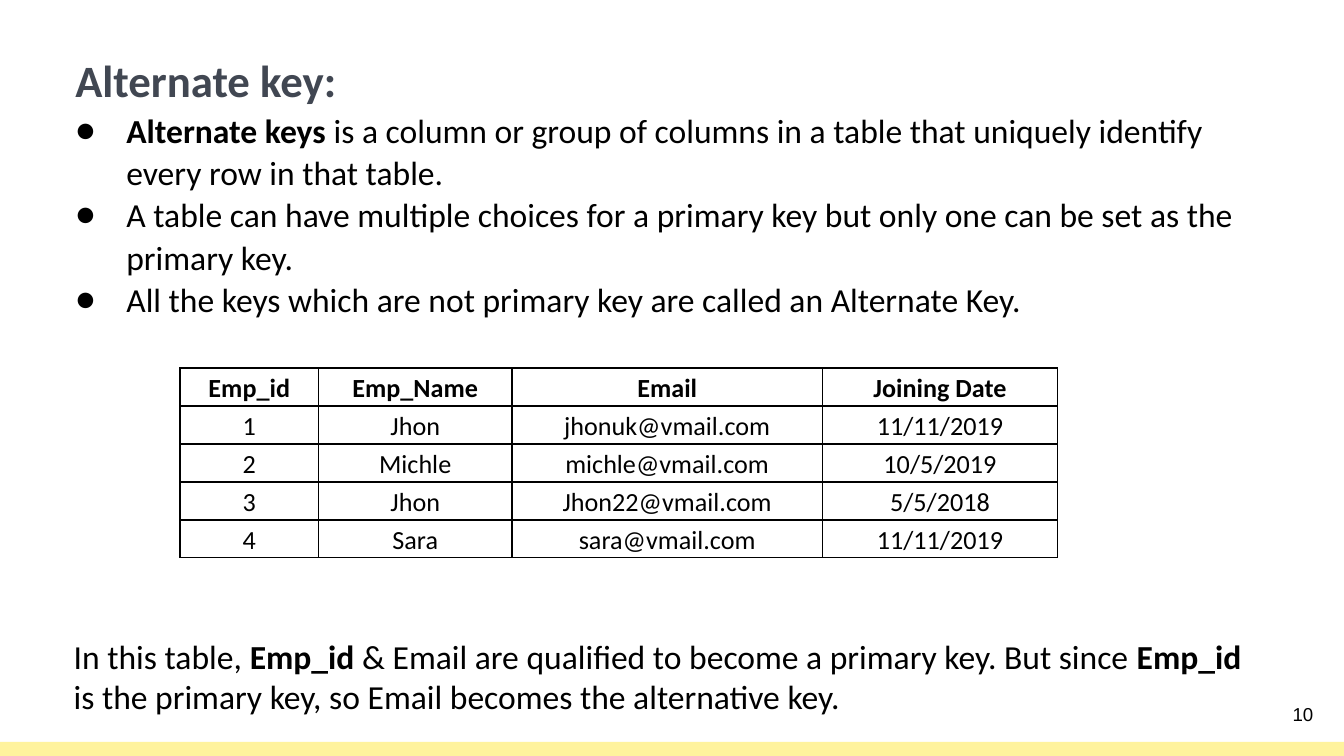
from dataclasses import dataclass

from lxml import etree
from pptx import Presentation
from pptx.dml.color import RGBColor
from pptx.enum.shapes import MSO_SHAPE
from pptx.enum.text import MSO_ANCHOR, MSO_AUTO_SIZE, PP_ALIGN
from pptx.oxml.ns import qn
from pptx.util import Inches, Pt

RECTANGLE = MSO_SHAPE.RECTANGLE
LEFT, CENTER, RIGHT = PP_ALIGN.LEFT, PP_ALIGN.CENTER, PP_ALIGN.RIGHT
TOP, MIDDLE = MSO_ANCHOR.TOP, MSO_ANCHOR.MIDDLE
NO_AUTOFIT = MSO_AUTO_SIZE.NONE
TITLE_AND_CONTENT = 1


@dataclass(frozen=True)
class Theme:
    font: str = "Calibri"
    number_font: str = "Arial"
    ink: str = "000000"
    heading: str = "414752"
    accent: str = "FFF39D"
    title_size: int = 24
    body_size: int = 18
    table_size: int = 14
    number_size: int = 10


THEME = Theme()

BULLETS = [
    [("Alternate keys", True),
     (" is a column or group of columns in a table that uniquely identify "
      "every row in that table.", False)],
    [("A table can have multiple choices for a primary key but only one can "
      "be set as the primary key.", False)],
    [("All the keys which are not primary key are called an Alternate Key.",
      False)],
]
EMPLOYEES = [
    ("Emp_id", "Emp_Name", "Email", "Joining Date"),
    ("1", "Jhon", "jhonuk@vmail.com", "11/11/2019"),
    ("2", "Michle", "michle@vmail.com", "10/5/2019"),
    ("3", "Jhon", "Jhon22@vmail.com", "5/5/2018"),
    ("4", "Sara", "sara@vmail.com", "11/11/2019"),
]
COLUMN_WIDTHS = (1.03, 1.44, 2.31, 1.75)
TABLE_HEIGHT = 1.41
CONCLUSION = [
    ("In this table, ", False),
    ("Emp_id", True),
    (" & Email are qualified to become a primary key. But since ", False),
    ("Emp_id ", True),
    ("is the primary key, so Email becomes the alternative key.", False),
]


def apply_format(target, values):
    for name, value in values.items():
        setattr(target, name, value)


def place(shape, left, top, width, height):
    apply_format(shape, {"left": Inches(left), "top": Inches(top),
                         "width": Inches(width), "height": Inches(height)})


def set_frame(frame, inset, anchor=TOP):
    apply_format(frame, {
        "word_wrap": True, "auto_size": NO_AUTOFIT, "vertical_anchor": anchor,
        "margin_left": Inches(0.1), "margin_right": Inches(0.1),
        "margin_top": Inches(inset), "margin_bottom": Inches(inset)})


def write_paragraph(paragraph, runs, size, color=THEME.ink, font=THEME.font,
                    align=LEFT, line_spacing=1.0):
    """Fill a paragraph from (text, bold) pairs."""
    apply_format(paragraph, {"alignment": align, "line_spacing": line_spacing,
                             "space_before": Pt(0), "space_after": Pt(0)})
    for text, bold in runs:
        run = paragraph.add_run()
        run.text = text
        apply_format(run.font, {"name": font, "size": Pt(size), "bold": bold})
        run.font.color.rgb = RGBColor.from_string(color)


def set_indent(paragraph):
    properties = paragraph._p.get_or_add_pPr()
    properties.set("marL", str(Inches(0.5)))
    properties.set("indent", str(Inches(-0.38)))
    return properties


def add_bullet(paragraph):
    properties = set_indent(paragraph)
    bullet_color = etree.SubElement(properties, qn("a:buClr"))
    etree.SubElement(bullet_color, qn("a:srgbClr"), val=THEME.ink)
    etree.SubElement(properties, qn("a:buFont"), typeface=THEME.font)
    etree.SubElement(properties, qn("a:buChar"), char="●")


def add_title(slide):
    title = slide.shapes.title
    place(title, 0.34, 0.27, 9.32, 0.55)
    set_frame(title.text_frame, 0.1)
    paragraph = title.text_frame.paragraphs[0]
    write_paragraph(paragraph, [("Alternate key:", True)], THEME.title_size,
                    THEME.heading, line_spacing=1.05)
    # The first line starts where the bullets stand.
    set_indent(paragraph)


def add_bullet_list(slide):
    body = slide.placeholders[1]
    place(body, 0.34, 0.7, 9.32, 1.92)
    frame = body.text_frame
    set_frame(frame, 0.1)
    for index, runs in enumerate(BULLETS):
        paragraph = frame.add_paragraph() if index else frame.paragraphs[0]
        write_paragraph(paragraph, runs, THEME.body_size, line_spacing=1.05)
        add_bullet(paragraph)


def add_borders(cell):
    properties = cell._tc.get_or_add_tcPr()
    for side in ("a:lnL", "a:lnR", "a:lnT", "a:lnB"):
        line = etree.SubElement(properties, qn(side), w=str(Pt(1)))
        fill = etree.SubElement(line, qn("a:solidFill"))
        etree.SubElement(fill, qn("a:srgbClr"), val=THEME.ink)


def add_employee_table(slide):
    rows, columns = len(EMPLOYEES), len(COLUMN_WIDTHS)
    table = slide.shapes.add_table(
        rows, columns, Inches(1.34), Inches(2.74),
        Inches(sum(COLUMN_WIDTHS)), Inches(TABLE_HEIGHT)).table
    apply_format(table, {"first_row": False, "horz_banding": False})
    for column, width in zip(table.columns, COLUMN_WIDTHS):
        column.width = Inches(width)
    for row_index, values in enumerate(EMPLOYEES):
        for column_index, text in enumerate(values):
            cell = table.cell(row_index, column_index)
            apply_format(cell, {
                "margin_left": Inches(0.07), "margin_right": Inches(0.07),
                "margin_top": 0, "margin_bottom": 0})
            add_borders(cell)
            cell.fill.background()
            write_paragraph(cell.text_frame.paragraphs[0],
                            [(text, row_index == 0)], THEME.table_size,
                            align=CENTER, line_spacing=1.15)


def add_text(slide, box, runs, size, inset=0.05, anchor=TOP, **text_format):
    shape = slide.shapes.add_textbox(*map(Inches, box))
    set_frame(shape.text_frame, inset, anchor)
    write_paragraph(shape.text_frame.paragraphs[0], runs, size, **text_format)


def add_footer_bar(slide):
    bar = slide.shapes.add_shape(RECTANGLE, *map(Inches, (0, 5.52, 10, 0.11)))
    bar.shadow.inherit = False
    bar.fill.solid()
    bar.fill.fore_color.rgb = RGBColor.from_string(THEME.accent)
    bar.line.fill.background()


def main():
    presentation = Presentation()
    slide_width = Inches(10)
    apply_format(presentation, {"slide_width": slide_width,
                                "slide_height": slide_width * 9 // 16})
    layout = presentation.slide_layouts[TITLE_AND_CONTENT]
    slide = presentation.slides.add_slide(layout)
    add_footer_bar(slide)
    add_title(slide)
    add_bullet_list(slide)
    add_employee_table(slide)
    add_text(slide, (0.45, 4.68, 9.01, 0.71), CONCLUSION, THEME.body_size)
    add_text(slide, (9.27, 5.1, 0.6, 0.43), [("10", False)],
             THEME.number_size, inset=0.1, anchor=MIDDLE,
             font=THEME.number_font, align=RIGHT)
    presentation.save("out.pptx")


if __name__ == "__main__":
    main()
